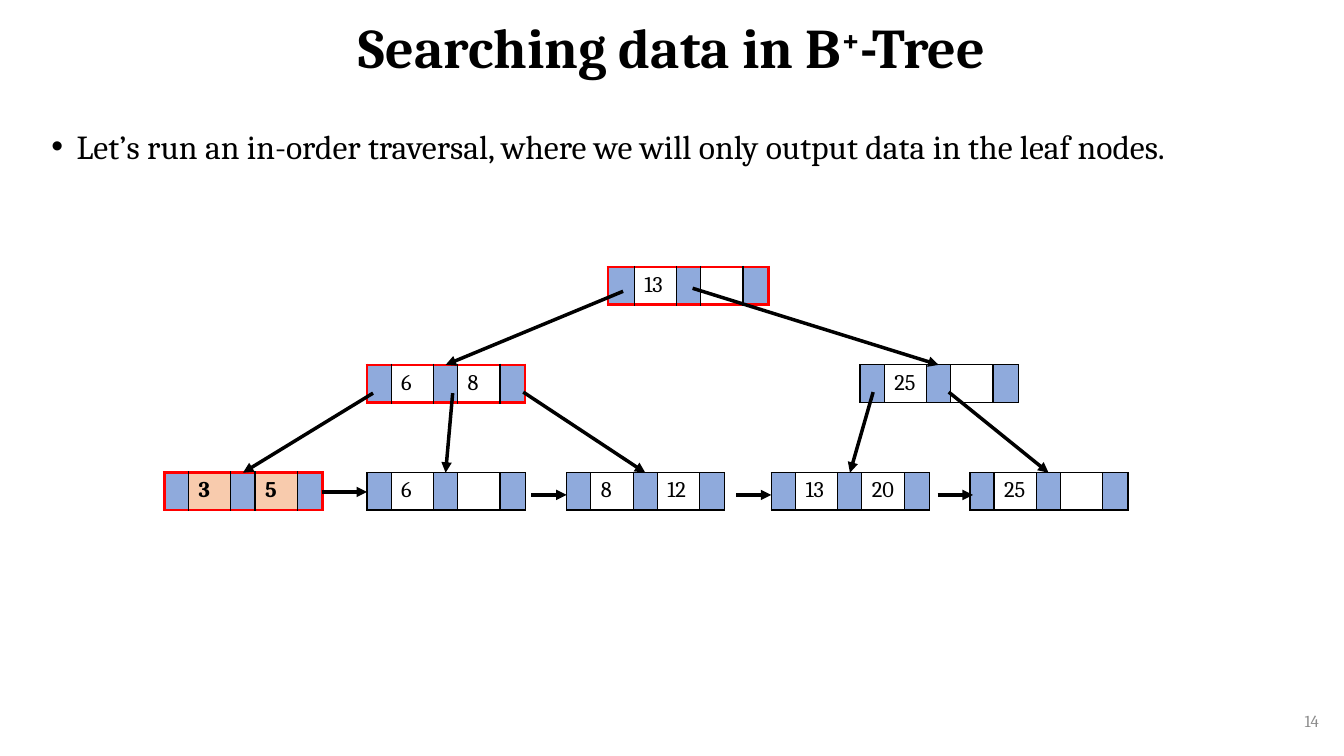
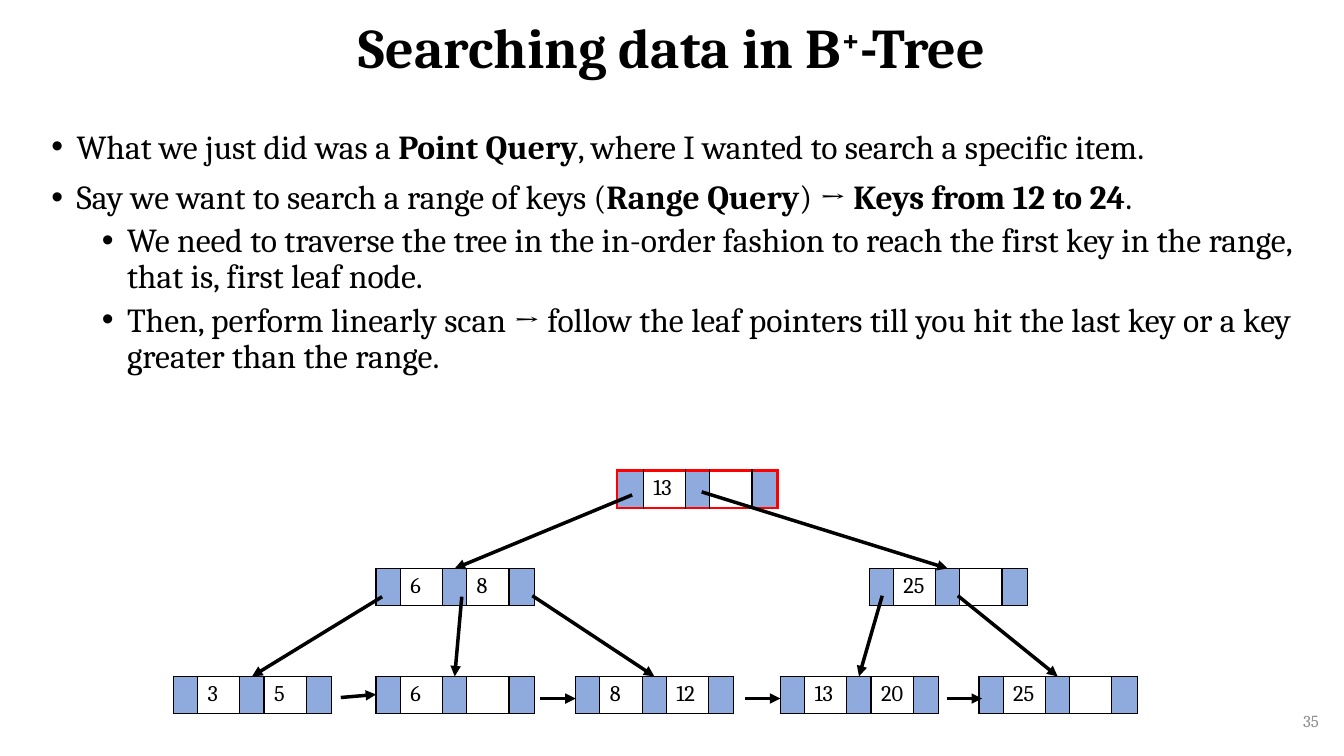
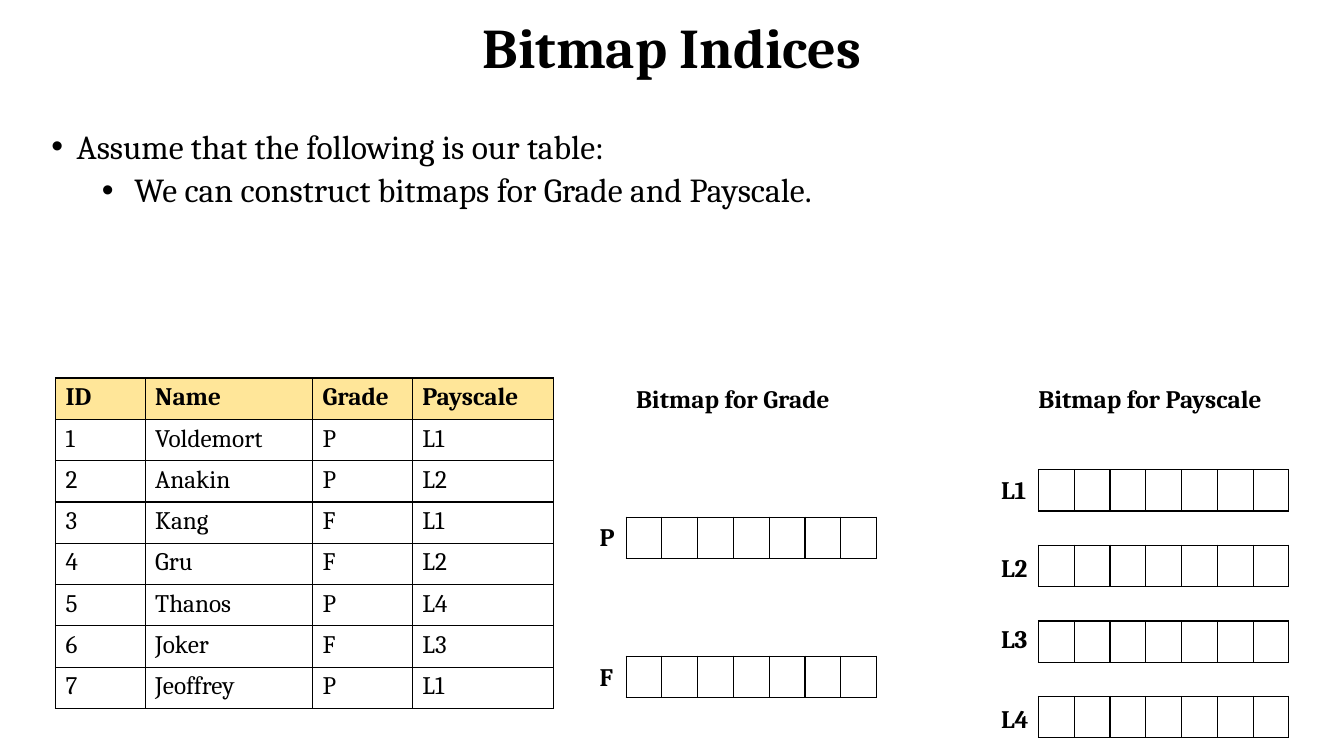
from dataclasses import dataclass

from lxml.etree import Element, SubElement
from pptx import Presentation
from pptx.dml.color import RGBColor
from pptx.enum.shapes import MSO_CONNECTOR
from pptx.enum.text import MSO_ANCHOR, MSO_AUTO_SIZE, PP_ALIGN
from pptx.oxml.ns import qn
from pptx.util import Inches, Pt


# Theme: colours, type sizes and line widths
@dataclass(frozen=True)
class Theme:
    font: str = "Cambria"
    ink: str = "000000"
    muted: str = "8C8C8C"
    pointer: str = "8FAADC"
    visited: str = "FF0000"
    found: str = "F8CBAD"
    header: str = "FFE699"
    title: int = 40
    body: int = 24
    label: int = 18
    key: int = 16
    number: int = 12
    rule: float = 1
    visited_rule: float = 2.25
    arrow: float = 2.5


T = Theme()
SLIDE_W, SLIDE_H = 13.33, 7.5
BODY_X, BODY_Y, BODY_W = 0.41, 1.24, 12.5


# Tree: node places, keys and where each child arrow leaves the node
@dataclass(frozen=True)
class Node:
    x: float
    level: int
    keys: tuple
    children: tuple = ()
    first_col: float = 0.23


LEVEL_Y = (2.65, 3.62, 4.69)
KEY_W, POINTER_W, LAST_W, NODE_H = 0.42, 0.23, 0.25, 0.37
NODE_MID = 0.78
TREE = {
    "root": Node(6.03, 0, ("13", ""),
                 (("left", 0.15, 0.24), ("right", 0.84, 0.21)), 0.26),
    "left": Node(3.64, 1, ("6", "8"),
                 (("leaf1", 0.06, 0.28), ("leaf2", 0.85, 0.28), ("leaf3", 1.55, 0.27))),
    "right": Node(8.53, 1, ("25", ""),
                  (("leaf4", 0.13, 0.27), ("leaf5", 0.88, 0.27))),
    "leaf1": Node(1.63, 2, ("3", "5")),
    "leaf2": Node(3.64, 2, ("6", "")),
    "leaf3": Node(5.62, 2, ("8", "12")),
    "leaf4": Node(7.65, 2, ("13", "20")),
    "leaf5": Node(9.62, 2, ("25", "")),
}
LINK_STARTS = (5.27, 7.3, 9.3)
LINK_W, LINK_Y = 0.35, 4.91

# Bitmap slide data
EMPLOYEES = (
    ("ID", "Name", "Grade", "Payscale"),
    ("1", "Voldemort", "P", "L1"),
    ("2", "Anakin", "P", "L2"),
    ("3", "Kang", "F", "L1"),
    ("4", "Gru", "F", "L2"),
    ("5", "Thanos", "P", "L4"),
    ("6", "Joker", "F", "L3"),
    ("7", "Jeoffrey", "P", "L1"),
)
ROW_H = 0.41
BITS, BIT_W = 7, 0.355


def rgb(value):
    return RGBColor.from_string(value)


def box(x, y, w, h):
    return [Inches(v) for v in (x, y, w, h)]


def style_run(r, size, bold=False, color=T.ink):
    r.font.name, r.font.size, r.font.bold = T.font, Pt(size), bold
    r.font.color.rgb = rgb(color)


# Titles, lists and labels
def place(sp, x, y, w, h):
    sp.left, sp.top, sp.width, sp.height = box(x, y, w, h)
    sp.text_frame.auto_size = MSO_AUTO_SIZE.NONE


def set_title(slide, text):
    """Parts between ^ marks are superscript."""
    sp = slide.shapes.title
    place(sp, (SLIDE_W - 11.5) / 2, 0, 11.5, 0.99)
    sp.text_frame.vertical_anchor = MSO_ANCHOR.MIDDLE
    p = sp.text_frame.paragraphs[0]
    p.alignment, p.line_spacing = PP_ALIGN.CENTER, 0.9
    for i, part in enumerate(text.split("^")):
        r = p.add_run()
        r.text = part
        style_run(r, T.title, True)
        if i % 2:
            r.font._element.set("baseline", "30000")


def set_bullet(p, level):
    p.level = level
    pPr = p._p.get_or_add_pPr()
    pPr.set("marL", str(Inches(0.25 + 0.5 * level)))
    pPr.set("indent", str(Inches(-0.25)))
    SubElement(pPr, qn("a:buFont"), typeface="Arial")
    SubElement(pPr, qn("a:buChar"), char="•")


def set_body(slide, height, items):
    """Items are (level, text); parts between ** marks are bold."""
    sp = slide.placeholders[1]
    place(sp, BODY_X, BODY_Y, BODY_W, height)
    tf = sp.text_frame
    for i, (level, text) in enumerate(items):
        p = tf.add_paragraph() if i else tf.paragraphs[0]
        p.alignment, p.line_spacing = PP_ALIGN.JUSTIFY, 0.9
        p.space_before = Pt(5 if level else 10)
        set_bullet(p, level)
        for j, part in enumerate(text.split("**")):
            r = p.add_run()
            r.text = part
            style_run(r, T.body, j % 2 == 1)


def add_label(slide, text, x, y, w):
    tf = slide.shapes.add_textbox(*box(x, y, w, 0.4)).text_frame
    tf.word_wrap, tf.auto_size = False, MSO_AUTO_SIZE.SHAPE_TO_FIT_TEXT
    tf.text = text
    style_run(tf.paragraphs[0].runs[0], T.label, True)


def add_number(slide, number):
    tf = slide.shapes.add_textbox(*box(10.18, 6.95, 3, 0.4)).text_frame
    tf.word_wrap, tf.vertical_anchor = True, MSO_ANCHOR.MIDDLE
    tf.text = str(number)
    p = tf.paragraphs[0]
    p.alignment = PP_ALIGN.RIGHT
    style_run(p.runs[0], T.number, color=T.muted)


def add_slide(prs, title, body_height, items, number=None):
    slide = prs.slides.add_slide(prs.slide_layouts[1])
    set_title(slide, title)
    set_body(slide, body_height, items)
    if number:
        add_number(slide, number)
    return slide


# Tables
def set_borders(cell, red_sides):
    tcPr = cell._tc.get_or_add_tcPr()
    for i, side in enumerate("LRTB"):
        red = side in red_sides
        width = Pt(T.visited_rule if red else T.rule)
        ln = Element(qn(f"a:ln{side}"), w=str(width))
        fill = SubElement(ln, qn("a:solidFill"))
        SubElement(fill, qn("a:srgbClr"), val=T.visited if red else T.ink)
        tcPr.insert(i, ln)


def fill_cell(cell, text, size, bold=False, fill=None, red_sides=""):
    p = cell.text_frame.paragraphs[0]
    if text:
        p.text = text
        style_run(p.runs[0], size, bold)
    else:
        SubElement(p._p, qn("a:endParaRPr"), sz=str(size * 100))
    if fill:
        cell.fill.solid()
        cell.fill.fore_color.rgb = rgb(fill)
    else:
        cell.fill.background()
    set_borders(cell, red_sides)


def add_grid(slide, x, y, widths, row_h, rows):
    frame = slide.shapes.add_table(rows, len(widths),
                                   *box(x, y, sum(widths), rows * row_h))
    table = frame.table
    table.first_row = table.horz_banding = False
    for col, width in zip(table.columns, widths):
        col.width = Inches(width)
    for row in table.rows:
        row.height = Inches(row_h)
    return table


# Tree parts
def add_arrow(slide, x1, y1, x2, y2):
    c = slide.shapes.add_connector(MSO_CONNECTOR.STRAIGHT, *box(x1, y1, x2, y2))
    c.line.color.rgb, c.line.width = rgb(T.ink), Pt(T.arrow)
    SubElement(c.line._get_or_add_ln(), qn("a:tailEnd"), type="triangle")
    SubElement(c._element.spPr, qn("a:effectLst"))


def add_node(slide, node, x, y, visited, found):
    widths = (node.first_col, KEY_W, POINTER_W, KEY_W, LAST_W)
    table = add_grid(slide, x, y, widths, NODE_H, 1)
    texts = ("", node.keys[0], "", node.keys[1], "")
    ends = {0: "L", len(texts) - 1: "R"}
    for i, text in enumerate(texts):
        key_fill = T.found if found else None
        fill_cell(table.cell(0, i), text, T.key, found,
                  key_fill if i % 2 else T.pointer,
                  "TB" + ends.get(i, "") if visited else "")


def add_tree(slide, dx, dy, visited, first_link, found=()):
    for name, node in TREE.items():
        add_node(slide, node, node.x + dx, LEVEL_Y[node.level] + dy,
                 name in visited, name in found)
    for node in TREE.values():
        for child_name, off_x, off_y in node.children:
            child = TREE[child_name]
            add_arrow(slide, node.x + off_x + dx, LEVEL_Y[node.level] + off_y + dy,
                      child.x + NODE_MID + dx, LEVEL_Y[child.level] + dy)
    links = [first_link] + [(x, LINK_Y, x + LINK_W, LINK_Y) for x in LINK_STARTS]
    for x1, y1, x2, y2 in links:
        add_arrow(slide, x1 + dx, y1 + dy, x2 + dx, y2 + dy)


# Bitmap parts
def add_employees(slide, x, y):
    table = add_grid(slide, x, y, (0.89, 1.66, 0.99, 1.4), ROW_H, len(EMPLOYEES))
    for i, record in enumerate(EMPLOYEES):
        for j, text in enumerate(record):
            fill_cell(table.cell(i, j), text, T.label, i == 0,
                      None if i else T.header)


def add_bitmaps(slide, x, label_x, label_w, rows):
    """Rows are (label, label top, bitmap top)."""
    for label, label_y, y in rows:
        table = add_grid(slide, x, y, [BIT_W] * BITS, ROW_H, 1)
        for i in range(BITS):
            fill_cell(table.cell(0, i), "", T.label)
        add_label(slide, label, label_x, label_y, label_w)


# Slides
def traversal_slide(prs):
    slide = add_slide(prs, "Searching data in B^+^-Tree", 0.61, [
        (0, "Let’s run an in-order traversal, where we will only output data "
            "in the leaf nodes."),
    ], 14)
    add_tree(slide, 0, 0, ("root", "left", "leaf1"),
             (3.19, 4.88, 3.64, 4.88), found=("leaf1",))


def range_query_slide(prs):
    slide = add_slide(prs, "Searching data in B^+^-Tree", 2.82, [
        (0, "What we just did was a **Point Query**, where I wanted to search "
            "a specific item."),
        (0, "Say we want to search a range of keys (**Range Query**) → "
            "**Keys from 12 to 24**."),
        (1, "We need to traverse the tree in the in-order fashion to reach the "
            "first key in the range, that is, first leaf node."),
        (1, "Then, perform linearly scan → follow the leaf pointers till you "
            "hit the last key or a key greater than the range."),
    ], 35)
    add_tree(slide, 0.09, 2.02, ("root",), (3.29, 4.9, 3.64, 4.87))


def bitmap_slide(prs):
    slide = add_slide(prs, "Bitmap Indices", 1.58, [
        (0, "Assume that the following is our table:"),
        (1, " We can construct bitmaps for Grade and Payscale."),
    ])
    top = SLIDE_H / 2
    add_employees(slide, 0.55, top)
    add_label(slide, "Bitmap for Grade", 6.21, top, 2.22)
    add_bitmaps(slide, 6.21, 5.85, 0.36, [("P", 5.12, 5.13), ("F", 6.51, 6.51)])
    add_label(slide, "Bitmap for Payscale", 10.2, top, 2.49)
    label_tops = (4.66, 5.43, 6.13, 6.93)
    add_bitmaps(slide, 10.3, 9.83, 0.48, [
        (f"L{i + 1}", label_y, 4.66 + 0.75 * i)
        for i, label_y in enumerate(label_tops)])


def main():
    prs = Presentation()
    prs.slide_width, prs.slide_height = Inches(SLIDE_W), Inches(SLIDE_H)
    traversal_slide(prs)
    range_query_slide(prs)
    bitmap_slide(prs)
    prs.save("out.pptx")


if __name__ == "__main__":
    main()
